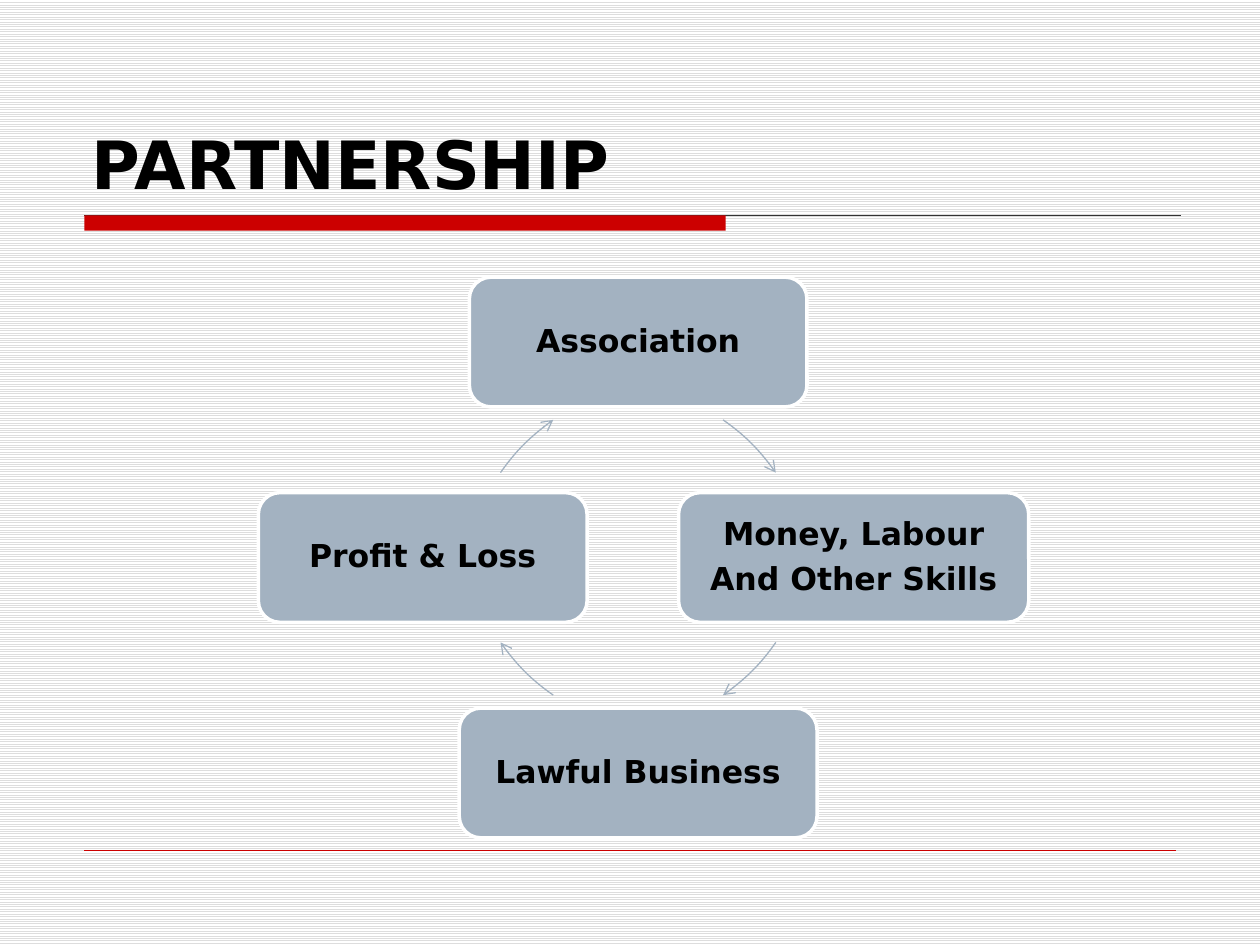
from math import cos, radians, sin

from lxml.etree import SubElement
from pptx import Presentation
from pptx.dml.color import RGBColor
from pptx.enum.dml import MSO_PATTERN
from pptx.enum.shapes import MSO_CONNECTOR, MSO_SHAPE
from pptx.enum.text import MSO_ANCHOR, MSO_AUTO_SIZE, PP_ALIGN
from pptx.oxml.ns import qn
from pptx.util import Inches, Pt

COLORS = {
    "paper": "FFFFFF",
    "stripe": "DDDDDD",
    "text": "000000",
    "red": "CC0000",
    "rule": "333333",
    "card": "A3B2C1",
}
FONT = "DejaVu Sans"
CARD_HEIGHT = 1.03
ORBIT = 1.71       # cycle centre to card centre
ARC_SIZE = 3.41    # diameter of the circle an arrow follows
ARC_SHIFT = 0.43   # cycle centre to the centre of that circle
ARC_SPAN = 20      # degrees an arrow covers

# Clockwise from the top: lines of text and card width
STEPS = [
    (["Association"], 2.68),
    (["Money, Labour", "And Other Skills"], 2.78),
    (["Lawful Business"], 2.84),
    (["Profit & Loss"], 2.61),
]


def color(name):
    return RGBColor.from_string(COLORS[name])


def write_text(frame, lines, size, align, anchor, inset=0.1, spacing=None, after=None):
    frame.auto_size = MSO_AUTO_SIZE.NONE
    frame.word_wrap = True
    frame.vertical_anchor = anchor
    frame.margin_left = frame.margin_right = Inches(inset)
    for number, line in enumerate(lines):
        para = frame.add_paragraph() if number else frame.paragraphs[0]
        para.alignment = align
        para.line_spacing = spacing
        para.space_after = after
        span = para.add_run()
        span.text = line
        span.font.name = FONT
        span.font.size = Pt(size)
        span.font.bold = True
        span.font.color.rgb = color("text")


def add_rule(page, left, right, y, name, width):
    rule = page.shapes.add_connector(
        MSO_CONNECTOR.STRAIGHT, Inches(left), Inches(y), Inches(right), Inches(y))
    rule.line.color.rgb = color(name)
    rule.line.width = Pt(width)
    SubElement(rule._element.spPr, qn("a:effectLst"))


def add_backdrop(page):
    fill = page.background.fill
    fill.patterned()
    fill.pattern = MSO_PATTERN.LIGHT_HORIZONTAL
    fill.fore_color.rgb = color("stripe")
    fill.back_color.rgb = color("paper")


def add_header(page, left, top, width, height):
    # Title
    title = page.shapes.title
    title.left, title.top = Inches(left), Inches(top)
    title.width, title.height = Inches(width), Inches(height)
    write_text(title.text_frame, ["PARTNERSHIP"], 38, PP_ALIGN.LEFT, MSO_ANCHOR.BOTTOM)

    # Thin rule with a red bar hanging from its left part
    bar_left, bar_top = left + 0.04, top + height + 0.05
    add_rule(page, bar_left, bar_left + 8.7, bar_top, "rule", 0.75)
    bar = page.shapes.add_shape(
        MSO_SHAPE.RECTANGLE, Inches(bar_left), Inches(bar_top), Inches(5.09), Inches(0.12))
    bar.shadow.inherit = False
    bar.fill.solid()
    bar.fill.fore_color.rgb = color("red")
    bar.line.fill.background()


def add_card(page, center_x, center_y, width, lines):
    card = page.shapes.add_shape(
        MSO_SHAPE.ROUNDED_RECTANGLE, Inches(center_x - width / 2),
        Inches(center_y - CARD_HEIGHT / 2), Inches(width), Inches(CARD_HEIGHT))
    card.shadow.inherit = False
    card.fill.solid()
    card.fill.fore_color.rgb = color("card")
    card.line.color.rgb = color("paper")
    card.line.width = Pt(2)
    write_text(card.text_frame, lines, 18, PP_ALIGN.CENTER, MSO_ANCHOR.MIDDLE,
               inset=0.12, spacing=0.9, after=Pt(6.3))


def add_arc_arrow(page, center_x, center_y, middle):
    # The arrow's circle is shifted away from the arrow
    arc_x = center_x - ARC_SHIFT * cos(radians(middle))
    arc_y = center_y - ARC_SHIFT * sin(radians(middle))
    arrow = page.shapes.add_shape(
        MSO_SHAPE.ARC, Inches(arc_x - ARC_SIZE / 2), Inches(arc_y - ARC_SIZE / 2),
        Inches(ARC_SIZE), Inches(ARC_SIZE))
    # One degree is 60000 units, and an adjustment of 1 is 100000
    arrow.adjustments[0] = (middle - ARC_SPAN / 2) % 360 * 0.6
    arrow.adjustments[1] = (middle + ARC_SPAN / 2) % 360 * 0.6
    arrow.shadow.inherit = False
    arrow.fill.background()
    arrow.line.color.rgb = color("card")
    arrow.line.width = Pt(0.75)
    SubElement(arrow.line._get_or_add_ln(), qn("a:tailEnd"), type="arrow")


def add_cycle(page, left, top, width, height):
    center_x, center_y = left + width / 2, top + height / 2
    for number, (lines, card_width) in enumerate(STEPS):
        degrees = -90 + 90 * number
        angle = radians(degrees)
        add_card(page, center_x + ORBIT * cos(angle), center_y + ORBIT * sin(angle),
                 card_width, lines)
        add_arc_arrow(page, center_x, center_y, degrees + 45)


def main():
    deck = Presentation()
    deck.slide_width, deck.slide_height = Inches(10), Inches(7.5)
    page = deck.slides.add_slide(deck.slide_layouts[5])
    add_backdrop(page)
    add_header(page, 0.63, 0.33, 8.75, 1.33)
    # Footer rule
    add_rule(page, 0.67, 9.33, 6.75, "red", 0.25)
    add_cycle(page, 2.02, 2.2, 6.09, 4.45)
    deck.save("out.pptx")


if __name__ == "__main__":
    main()
